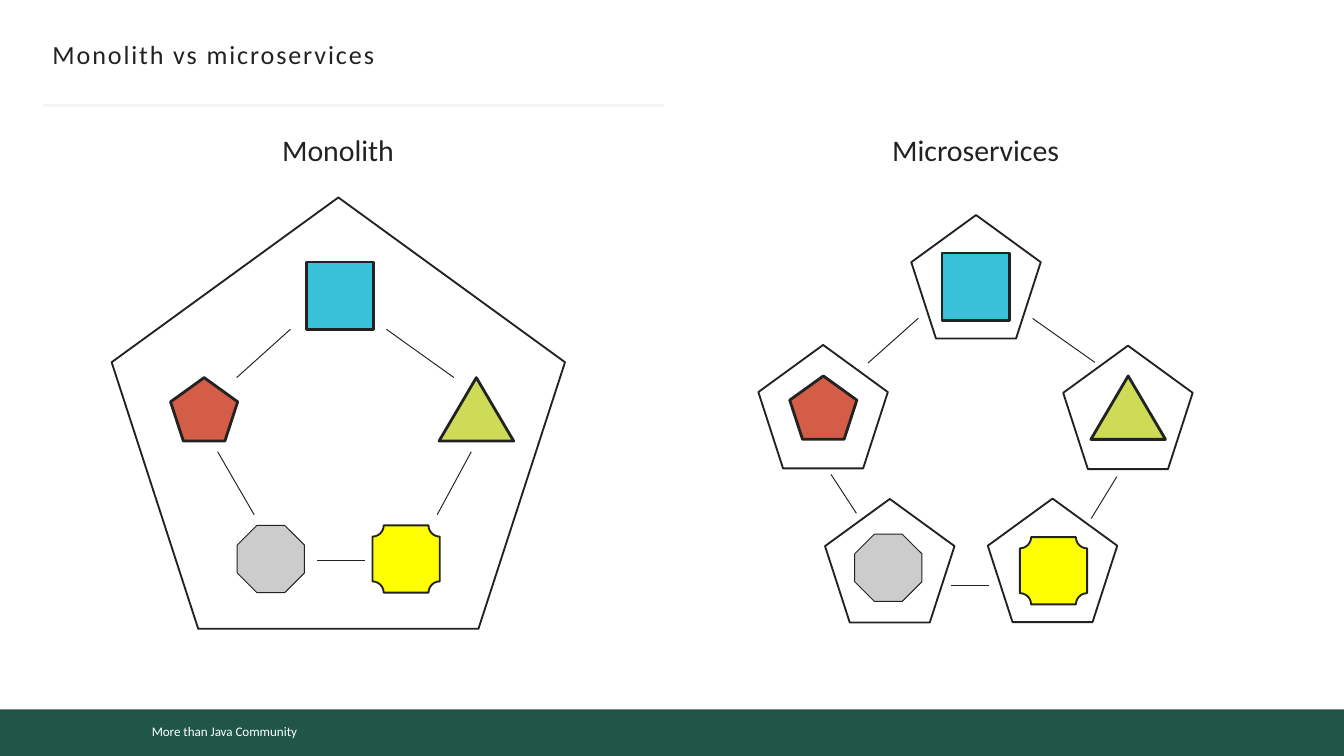
from lxml import etree
from pptx import Presentation
from pptx.dml.color import RGBColor
from pptx.enum import shapes, text
from pptx.oxml import ns
from pptx.util import Pt

hues = {
    "ink": "222222", "white": "FFFFFF", "green": "205648", "rule": "F5F5F5",
    "red": "D35D47", "blue": "39C2D7", "lime": "CEDB56", "grey": "CCCCCC",
    "yellow": "FFFF00",
}
rgb = {name: RGBColor.from_string(code) for name, code in hues.items()}
kind = shapes.MSO_SHAPE

deck = Presentation()
deck.slide_width, deck.slide_height = Pt(720), Pt(405)
slide = deck.slides.add_slide(deck.slide_layouts[5])


def draw(form, left, top, wide, high, fill, line=None):
    item = slide.shapes.add_shape(form, Pt(left), Pt(top), Pt(wide), Pt(high))
    item.shadow.inherit = False
    item.fill.solid()
    item.fill.fore_color.rgb = rgb[fill]
    if line:
        item.line.color.rgb = rgb["ink"]
        item.line.width = Pt(line)
    else:
        item.line.fill.background()
    return item


def link(ends, hue="ink", width=0.5):
    wire = slide.shapes.add_connector(shapes.MSO_CONNECTOR.STRAIGHT, *map(Pt, ends))
    wire.line.color.rgb = rgb[hue]
    wire.line.width = Pt(width)
    etree.SubElement(wire._element.spPr, ns.qn("a:effectLst"))


draw(kind.RECTANGLE, 0, 380, 720, 25, "green")
foot = draw(kind.RECTANGLE, 74.2, 383.8, 190.8, 15.8, "green")
link((23, 56.4, 355.7, 56.4), "rule", 1.5)

title = slide.shapes.title
title.left, title.top, title.width, title.height = Pt(28.1), Pt(18), Pt(663.8), Pt(23.8)
title.text_frame.margin_left = title.text_frame.margin_right = 0

heads = [slide.shapes.add_textbox(Pt(left), Pt(67), Pt(wide), Pt(26.6))
         for left, wide in ((141.1, 80), (459, 127.4))]

labels = [
    (foot, "More than Java Community", 7, "white", "LEFT"),
    (title, "Monolith vs microservices", 14, "ink", "LEFT"),
    (heads[0], "Monolith", 16, "ink", "CENTER"),
    (heads[1], "Microservices", 16, "ink", "CENTER"),
]
for box, words, size, hue, side in labels:
    frame = box.text_frame
    frame.text = words
    frame.word_wrap = True
    frame.vertical_anchor = text.MSO_ANCHOR.MIDDLE
    para = frame.paragraphs[0]
    para.alignment = text.PP_ALIGN[side]
    para.font.name = "Calibri"
    para.font.size = Pt(size)
    para.font.color.rgb = rgb[hue]

para = title.text_frame.paragraphs[0]
para.line_spacing = 0.9
para.runs[0]._r.get_or_add_rPr().set("spc", "100")

parts = [
    (kind.REGULAR_PENTAGON, 36, 34, "red", 1.5),
    (kind.RECTANGLE, 36, 36, "blue", 1.5),
    (kind.ISOSCELES_TRIANGLE, 40, 34, "lime", 1.5),
    (kind.OCTAGON, 36, 36, "grey", 0.5),
    (kind.PLAQUE, 36, 36, "yellow", 1),
]
mono = {
    "shells": [(59.8, 105.8, 242.9, 231.1)],
    "spots": [(91.4, 202.3), (164, 140.4), (235.2, 202.3), (127.1, 281.5), (199.6, 281.5)],
    "links": [(207, 176.4, 243.2, 202.3), (252.5, 242, 234.2, 275.8),
              (169.9, 300.2, 195.4, 300.2), (136.2, 275.8, 116.6, 242),
              (126.8, 202.3, 155.6, 176.4)],
}
micro = {
    "shells": [(left, top, 69.4, 66.2) for left, top in (
        (442, 267.3), (569.6, 185.2), (529.2, 267.1), (406.3, 184.8), (488.2, 115.2))],
    "spots": [(423.1, 201.4), (504.7, 135.6), (584.4, 201.4), (457.9, 286.2), (546.4, 287.8)],
    "links": [(553.2, 170.6, 586.6, 194.2), (598.3, 255.4, 584.6, 277.8),
              (509.6, 313.6, 529.8, 313.6), (458.8, 275, 445.2, 254.2),
              (465, 194.5, 492, 170.5)],
}
for side in (mono, micro):
    for shell in side["shells"]:
        draw(kind.REGULAR_PENTAGON, *shell, "white", 1)
    for spot, (form, wide, high, hue, line) in zip(side["spots"], parts):
        draw(form, *spot, wide, high, hue, line)
    for ends in side["links"]:
        link(ends)

deck.save("out.pptx")
